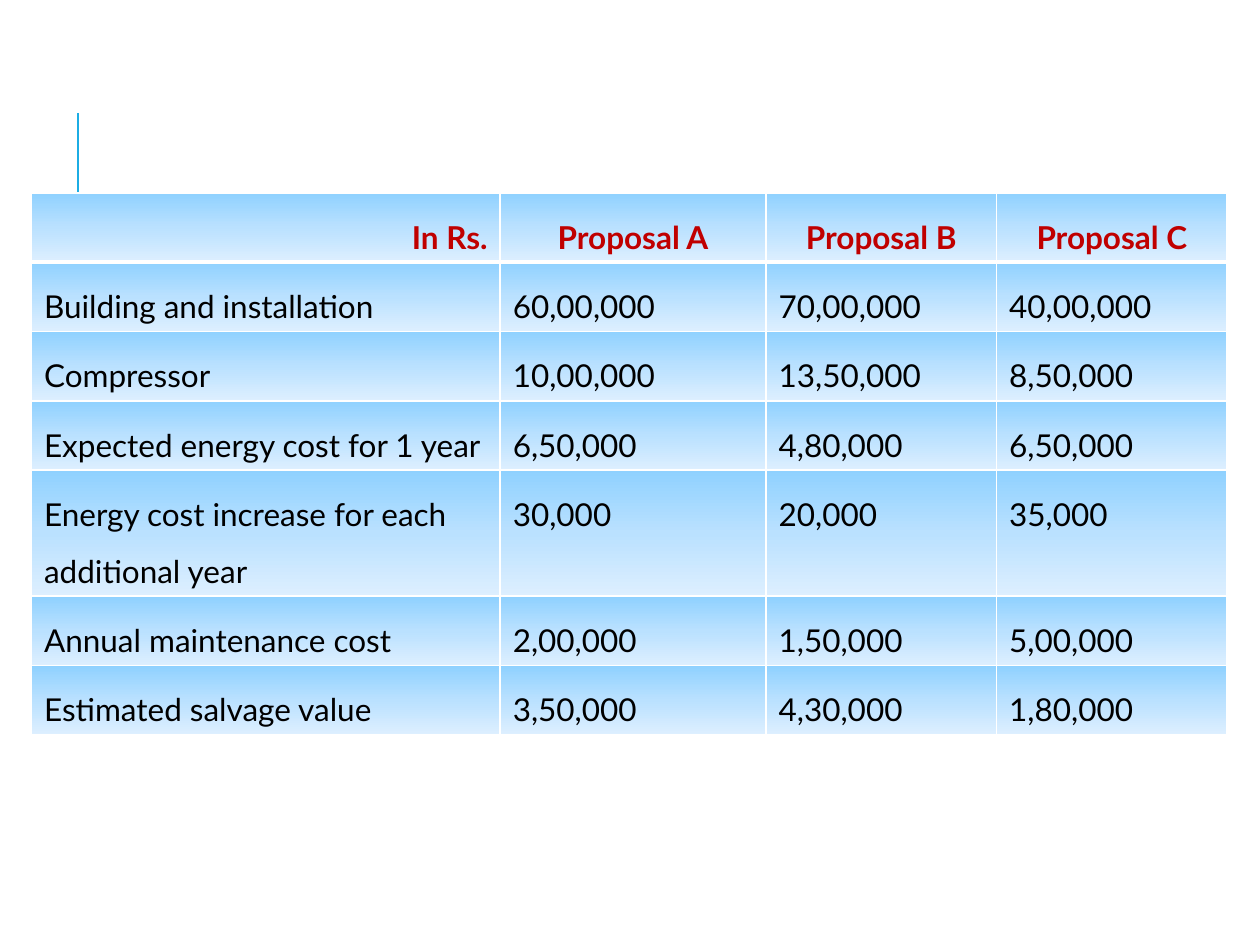
from lxml import etree
from pptx import Presentation
from pptx.dml.color import RGBColor
from pptx.enum.shapes import MSO_CONNECTOR
from pptx.enum.text import PP_ALIGN
from pptx.oxml import parse_xml
from pptx.oxml.ns import nsdecls, qn
from pptx.util import Inches, Pt

# Content
ROWS = [
    ("In Rs.", "Proposal A", "Proposal B", "Proposal C"),
    ("Building and installation", "60,00,000", "70,00,000", "40,00,000"),
    ("Compressor", "10,00,000", "13,50,000", "8,50,000"),
    ("Expected energy cost for 1 year", "6,50,000", "4,80,000", "6,50,000"),
    ("Energy cost increase for each additional year",
     "30,000", "20,000", "35,000"),
    ("Annual maintenance cost", "2,00,000", "1,50,000", "5,00,000"),
    ("Estimated salvage value", "3,50,000", "4,30,000", "1,80,000"),
]
COL_WIDTHS = (3.72, 2.11, 1.83, 1.83)
ROW_HEIGHTS = (0.55, 0.55, 0.55, 0.55, 1.0, 0.55, 0.55)

ACCENT = RGBColor(0x1C, 0xAD, 0xE4)
HEADER = RGBColor(0xC0, 0x00, 0x00)
BODY = RGBColor(0x00, 0x00, 0x00)
BORDER = RGBColor(0xFF, 0xFF, 0xFF)
GRADIENT = (
    (0, RGBColor(0x8F, 0xD1, 0xFF)),
    (50, RGBColor(0xBA, 0xE1, 0xFF)),
    (100, RGBColor(0xDD, 0xEF, 0xFF)),
)


def add_border(tcPr, side, width):
    tcPr.append(parse_xml(
        f'<a:ln{side} {nsdecls("a")} w="{Pt(width)}"><a:solidFill>'
        f'<a:srgbClr val="{BORDER}"/></a:solidFill></a:ln{side}>'))


def add_gradient(tcPr):
    stops = "".join(
        f'<a:gs pos="{pos * 1000}"><a:srgbClr val="{color}"/></a:gs>'
        for pos, color in GRADIENT)
    tcPr.append(parse_xml(
        f'<a:gradFill {nsdecls("a")} rotWithShape="1"><a:gsLst>{stops}'
        '</a:gsLst><a:lin ang="5400000" scaled="0"/></a:gradFill>'))


def style_cell(cell, row, col):
    is_header = row == 0
    p = cell.text_frame.paragraphs[0]
    p.line_spacing = 1.5
    p.font.name = "Lato"
    p.font.size = Pt(18)
    p.font.bold = is_header
    p.font.color.rgb = HEADER if is_header else BODY
    if is_header:
        p.alignment = PP_ALIGN.CENTER if col else PP_ALIGN.RIGHT

    # Borders come before the fill; the header rule is thicker
    tcPr = cell._tc.get_or_add_tcPr()
    for side in "LRTB":
        thick = (side == "B" and row == 0) or (side == "T" and row == 1)
        add_border(tcPr, side, 3 if thick else 1)
    add_gradient(tcPr)


prs = Presentation()
prs.slide_width, prs.slide_height = Inches(10), Inches(7.5)
slide = prs.slides.add_slide(prs.slide_layouts[6])

# Accent line
line = slide.shapes.add_connector(
    MSO_CONNECTOR.STRAIGHT,
    Inches(0.62), Inches(1.9), Inches(0.62), Inches(0.9))
line.line.color.rgb = ACCENT
line.line.width = Pt(1.5)
etree.SubElement(line._element.spPr, qn("a:effectLst"))

# Proposal table
table = slide.shapes.add_table(
    len(ROWS), len(COL_WIDTHS), Inches(0.25), Inches(1.53),
    Inches(sum(COL_WIDTHS)), Inches(sum(ROW_HEIGHTS))).table
for column, width in zip(table.columns, COL_WIDTHS):
    column.width = Inches(width)
for r, (values, height) in enumerate(zip(ROWS, ROW_HEIGHTS)):
    table.rows[r].height = Inches(height)
    for c, value in enumerate(values):
        cell = table.cell(r, c)
        cell.text = value
        style_cell(cell, r, c)

prs.save("out.pptx")
